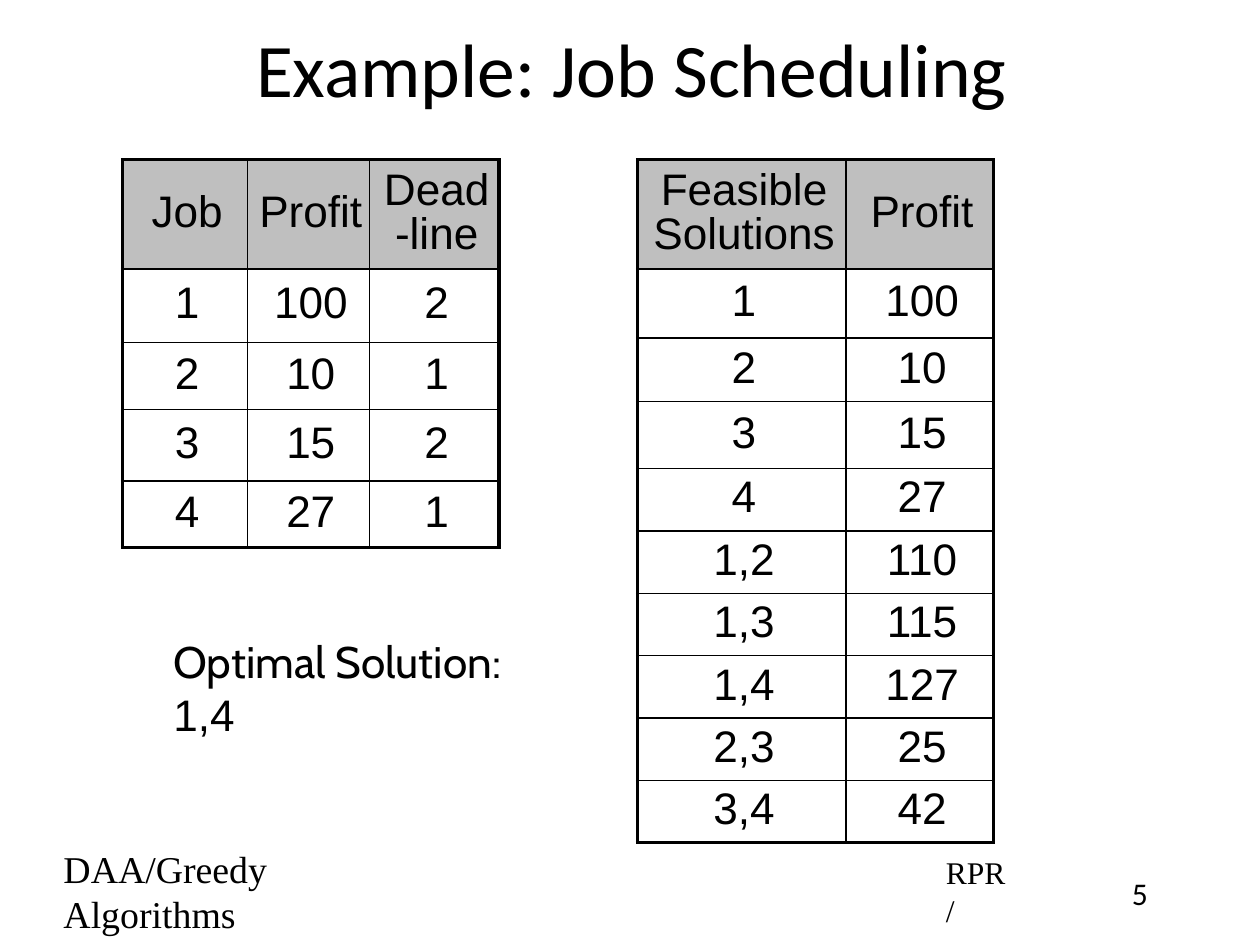
import pptx
import pptx.util
import pptx.dml.color
import pptx.enum.text
import pptx.oxml.ns
import lxml.etree

Inches, Pt = pptx.util.Inches, pptx.util.Pt
ALIGN, ANCHOR = pptx.enum.text.PP_ALIGN, pptx.enum.text.MSO_ANCHOR
COLORS = {"ink": "000000", "header": "BFBFBF", "paper": "FFFFFF"}
INSET, INDENT = Inches(0.06), Inches(0.04)

JOBS = [
    ("Job", "Profit", "Dead-line"),
    ("1", "100", "2"), ("2", "10", "1"), ("3", "15", "2"), ("4", "27", "1"),
]
SOLUTIONS = [
    ("Feasible Solutions", "Profit"),
    ("1", "100"), ("2", "10"), ("3", "15"), ("4", "27"), ("1,2", "110"),
    ("1,3", "115"), ("1,4", "127"), ("2,3", "25"), ("3,4", "42"),
]


def color(name):
    return pptx.dml.color.RGBColor.from_string(COLORS[name])


def set_insets(target):
    target.margin_left = target.margin_right = INSET
    target.margin_top = target.margin_bottom = INSET


def format_paragraph(p, size, font, align, indent=INDENT):
    p.alignment = align
    pPr = p._p.get_or_add_pPr()
    pPr.set("marL", str(indent))
    pPr.set("indent", "0")
    for r in p.runs:
        r.font.size = Pt(size)
        r.font.name = font
        r.font.color.rgb = color("ink")


def fill_frame(sp, text, size, font, align=ALIGN.LEFT, anchor=ANCHOR.MIDDLE, indent=INDENT):
    tf = sp.text_frame
    tf.word_wrap = True
    tf.vertical_anchor = anchor
    set_insets(tf)
    tf.text = text
    format_paragraph(tf.paragraphs[0], size, font, align, indent)
    return tf.paragraphs[0]


def add_label(slide, box, text, size, font, **layout):
    sp = slide.shapes.add_textbox(*map(Inches, box))
    return fill_frame(sp, text, size, font, **layout)


def add_title(slide, box, text):
    sp = slide.shapes.title
    sp.left, sp.top, sp.width, sp.height = map(Inches, box)
    fill_frame(sp, text, 48, "Calibri", align=ALIGN.CENTER)


def set_borders(cell, outer_sides):
    """Draw a thick line on the outer sides and a thin one on the others."""
    tcPr = cell._tc.get_or_add_tcPr()
    for side in "LRTB":
        width = Pt(2.25 if side in outer_sides else 1)
        ln = lxml.etree.SubElement(tcPr, pptx.oxml.ns.qn(f"a:ln{side}"), w=str(width))
        fill = lxml.etree.SubElement(ln, pptx.oxml.ns.qn("a:solidFill"))
        lxml.etree.SubElement(fill, pptx.oxml.ns.qn("a:srgbClr"), val=COLORS["ink"])


def add_grid(slide, left, top, widths, heights, rows):
    """Add a table with a grey header row and a thick frame."""
    last_row, last_col = len(rows) - 1, len(widths) - 1
    frame = slide.shapes.add_table(
        len(rows), len(widths), Inches(left), Inches(top),
        Inches(sum(widths)), Inches(sum(heights)))
    table = frame.table
    table.first_row = table.horz_banding = False
    for column, width in zip(table.columns, widths):
        column.width = Inches(width)
    for i, (row, height) in enumerate(zip(rows, heights)):
        table.rows[i].height = Inches(height)
        for j, text in enumerate(row):
            cell = table.cell(i, j)
            set_insets(cell)
            cell.vertical_anchor = ANCHOR.MIDDLE
            cell.text = text
            p = cell.text_frame.paragraphs[0]
            p.line_spacing = 0.9
            format_paragraph(p, 28, "Arial", ALIGN.CENTER)
            edges = {"L": j == 0, "R": j == last_col, "T": i == 0, "B": i == last_row}
            set_borders(cell, [side for side, outer in edges.items() if outer])
            cell.fill.solid()
            cell.fill.fore_color.rgb = color("paper" if i else "header")


def add_optimum(slide, box):
    p = add_label(slide, box, "Optimal Solution: ", 28, "Cabin")
    p.add_run().text = "1,4"
    format_paragraph(p, 28, "Cabin", ALIGN.LEFT)
    p.runs[1].font.name = "Arial"


def add_footer(slide, top):
    add_label(slide, (0.46, top, 3.5, 0.47), "DAA/Greedy Algorithms", 24, "Times New Roman")
    add_label(slide, (8.24, top + 0.02, 0.75, 0.42), "RPR/", 20, "Times New Roman")
    add_label(slide, (9.72, top + 0.02, 0.66, 0.42), "5", 20, "Calibri",
              align=ALIGN.CENTER, anchor=ANCHOR.TOP, indent=0)


def main():
    prs = pptx.Presentation()
    prs.slide_width, prs.slide_height = Inches(11.11), Inches(8.33)
    slide = prs.slides.add_slide(prs.slide_layouts[5])
    add_title(slide, (0.83, 0.07, 9.44, 1.04), "Example: Job Scheduling")
    add_grid(slide, 1.08, 1.41, [1.1, 1.08, 1.14], [0.96, 0.65, 0.59, 0.63, 0.59], JOBS)
    add_grid(slide, 5.62, 1.41, [1.84, 1.3], [0.96, 0.61, 0.56, 0.59] + [0.55] * 6, SOLUTIONS)
    add_optimum(slide, (1.43, 5.78, 3.5, 0.56))
    add_footer(slide, 7.62)
    prs.save("out.pptx")


if __name__ == "__main__":
    main()
